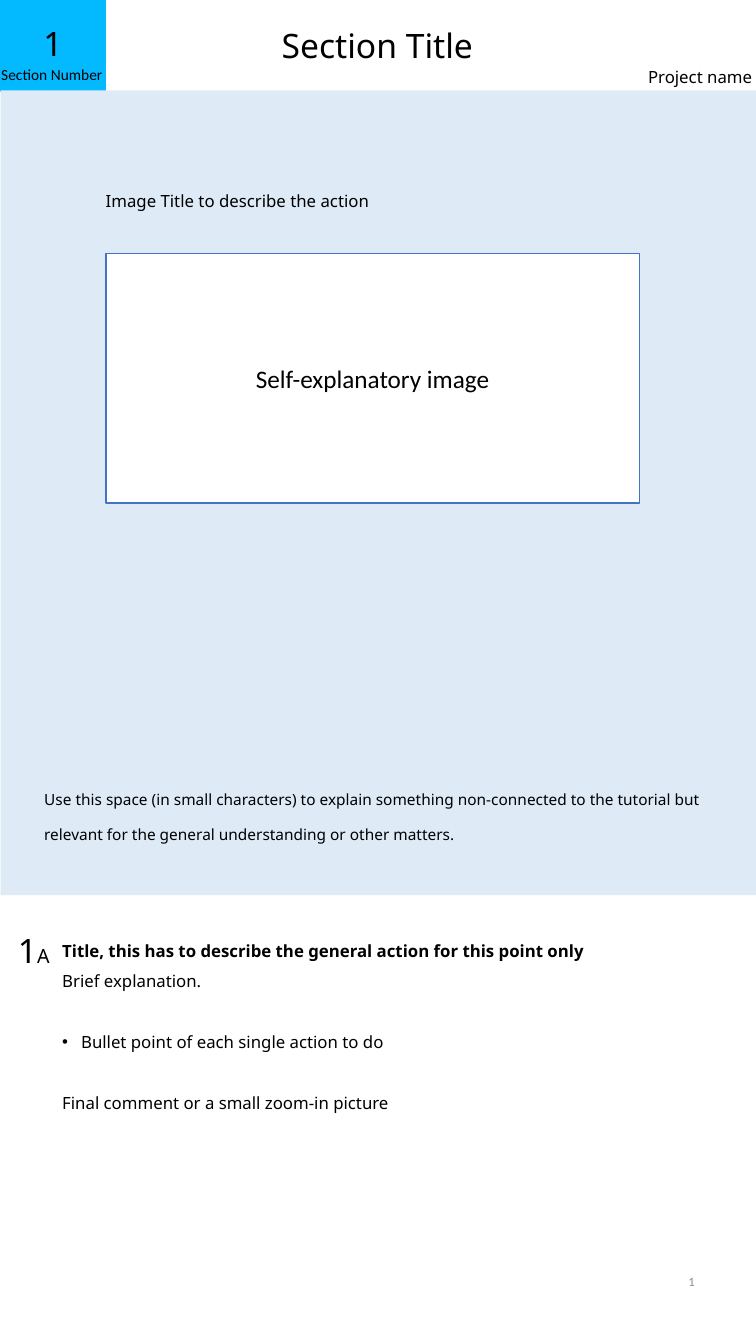
from lxml.etree import SubElement
from pptx import Presentation
from pptx.dml.color import RGBColor
from pptx.enum.shapes import MSO_SHAPE
from pptx.enum.text import MSO_ANCHOR, PP_ALIGN
from pptx.oxml.ns import qn
from pptx.util import Pt

WIDE, HIGH = 540, 960
HEAD = 64.5          # height of the header band
TAB = 75.6           # width of the section tab
LEAD = 21.7          # line pitch of the instructions
NOTO, CALI = "Noto Sans", "Calibri"
MID, END = PP_ALIGN.CENTER, PP_ALIGN.RIGHT

# left, top, width, height, fill, line
PANELS = {
    "tab": (0, 0, TAB, HEAD + 1, "03B9FF", None),
    "panel": (0.5, HEAD, WIDE, 575, "DEEBF7", None),
    "frame": (TAB, 181.2, 381, 178, "FFFFFF", "4472C4"),
}

# A paragraph is (runs, format); a run is (text, font format).
NOTE = ("Use this space (in small characters) to explain something non-connected "
        "to the tutorial but relevant for the general understanding or other matters.")
STEPS = [
    ([("Title, this has to describe the general action for this point only",
       {"bold": True})], {}),
    ([("Brief explanation.", {})], {}),
    ([("Bullet point of each single action to do", {})], {"space_before": Pt(LEAD)}),
    ([("Final comment or a small zoom-in picture", {})], {"space_before": Pt(LEAD)}),
]
BULLET = 2           # index of the bulleted step


def line(text, size, font=NOTO, **form):
    """Return a list with one single-run paragraph."""
    return [([(text, {"size": Pt(size), "name": font})], form)]


# left, top, width, height, wrap, paragraphs
TEXTS = [
    (-7.2, 43.2, 88.6, 21, True, line("Section Number", 11, CALI, alignment=MID)),
    (0, 13, TAB, 36, True, line("1", 24, alignment=MID)),
    (190, 14.4, 159, 36, False, line("Section Title", 24, alignment=MID)),
    (455.8, 43.9, 90.7, 21.6, False, line("Project name", 12)),
    (68.4, 132.5, 219.6, 21.6, False, line("Image Title to describe the action", 12)),
    (24.5, 548, 522.7, 67, True, line(NOTE, 11, line_spacing=Pt(25.7))),
    (-13.7, 661, TAB, 36, True,
     [([("1", {"size": Pt(24)}), ("A", {"size": Pt(14)})], {"alignment": MID})]),
]


def tint(code):
    """Turn a hex string into a colour."""
    return RGBColor.from_string(code)


def apply(item, form):
    """Set every attribute in a dict of format values."""
    for key, value in form.items():
        setattr(item, key, value)


def write(shape, paras, wrap=True, color="000000", **base):
    """Fill a shape with formatted paragraphs."""
    frame = shape.text_frame
    frame.word_wrap = wrap
    for i, (runs, form) in enumerate(paras):
        para = frame.add_paragraph() if i else frame.paragraphs[0]
        apply(para, {"alignment": PP_ALIGN.LEFT, **form})
        for text, style in runs:
            run = para.add_run()
            run.text = text
            apply(run.font, {"name": NOTO, "size": Pt(12), **base, **style})
            run.font.color.rgb = tint(color)
    return frame


def panel(slide, left, top, width, height, fill, edge):
    """Draw a flat rectangle."""
    shape = slide.shapes.add_shape(MSO_SHAPE.RECTANGLE, *map(Pt, (left, top, width, height)))
    shape.shadow.inherit = False
    shape.fill.solid()
    shape.fill.fore_color.rgb = tint(fill)
    if edge:
        shape.line.color.rgb = tint(edge)
        shape.line.width = Pt(1)
    else:
        shape.line.fill.background()
    return shape


def label(slide, left, top, width, height, wrap, paras, **rest):
    """Add a text box and return its frame."""
    box = slide.shapes.add_textbox(*map(Pt, (left, top, width, height)))
    return write(box, paras, wrap, **rest)


def bullet(para, gap):
    """Give a paragraph a round bullet with a hanging indent."""
    props = para._p.get_or_add_pPr()
    props.set("marL", str(Pt(gap)))
    props.set("indent", str(-Pt(gap)))
    SubElement(props, qn("a:buFont")).set("typeface", "Arial")
    SubElement(props, qn("a:buChar")).set("char", "•")


deck = Presentation()
deck.slide_width, deck.slide_height = Pt(WIDE), Pt(HIGH)
slide = deck.slides.add_slide(deck.slide_layouts[6])

shapes = {name: panel(slide, *spec) for name, spec in PANELS.items()}
frame = write(shapes["frame"], line("Self-explanatory image", 18, CALI, alignment=MID))
frame.vertical_anchor = MSO_ANCHOR.MIDDLE

for row in TEXTS:
    label(slide, *row)

steps = label(slide, 37.4, 661, 472.3, 138, True, STEPS)
for para in steps.paragraphs:
    para.line_spacing = Pt(LEAD)
bullet(steps.paragraphs[BULLET], 13.5)

page = label(slide, 381.6, 890, 121.7, 51, True,
             line("1", 9, CALI, alignment=END), color="8C8C8C")
page.vertical_anchor = MSO_ANCHOR.MIDDLE

deck.save("out.pptx")
